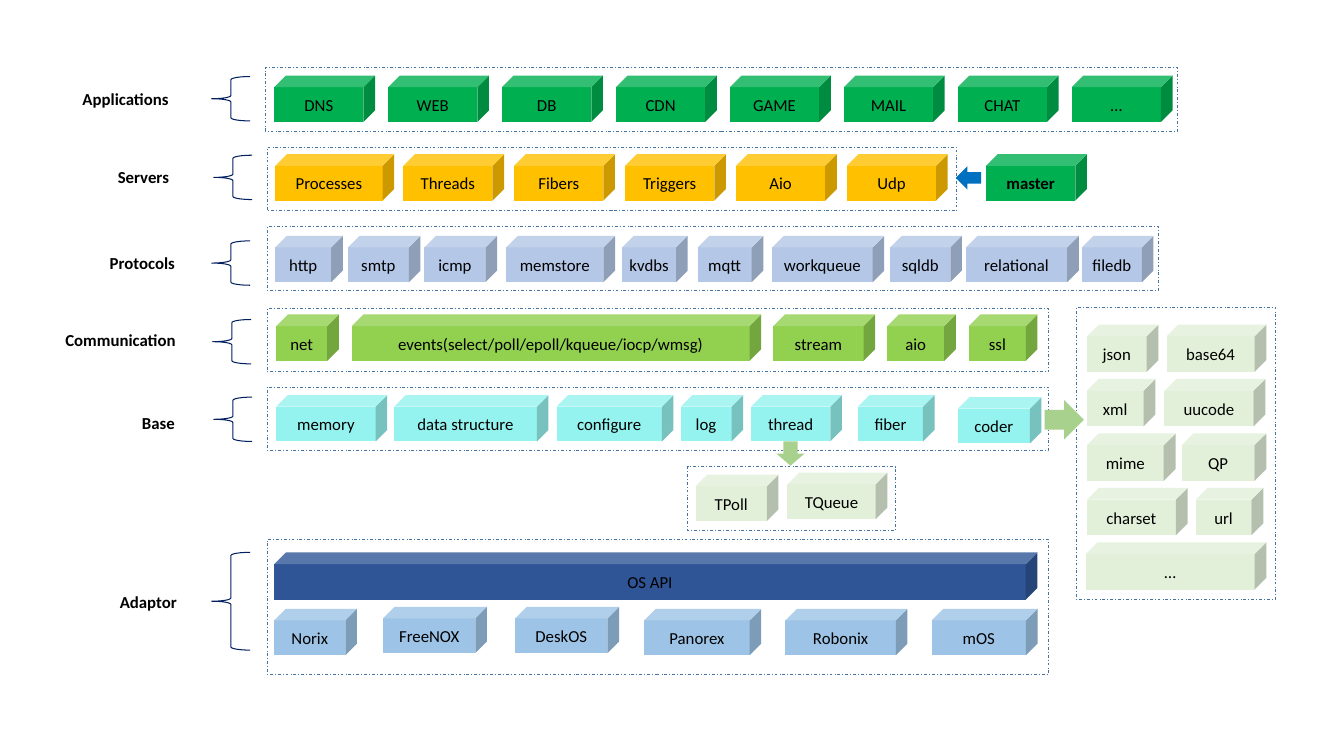
from pptx import Presentation
from pptx.dml.color import RGBColor
from pptx.enum.dml import MSO_LINE
from pptx.enum.shapes import MSO_SHAPE
from pptx.enum.text import MSO_ANCHOR, MSO_AUTO_SIZE, PP_ALIGN
from pptx.util import Inches, Pt

BLACK = RGBColor(0x00, 0x00, 0x00)
NAVY = RGBColor(0x00, 0x20, 0x60)
FRAME_BLUE = RGBColor(0x43, 0x73, 0x9E)
ARROW_BLUE = RGBColor(0x00, 0x70, 0xC0)
ARROW_GREEN = RGBColor(0xA9, 0xD1, 0x8E)
GREEN = RGBColor(0x00, 0xB0, 0x50)
AMBER = RGBColor(0xFF, 0xC0, 0x00)
LAVENDER = RGBColor(0xB4, 0xC7, 0xE7)
LIME = RGBColor(0x92, 0xD0, 0x50)
AQUA = RGBColor(0x95, 0xF3, 0xEF)
PALE_GREEN = RGBColor(0xE2, 0xF0, 0xD9)
DEEP_BLUE = RGBColor(0x2F, 0x55, 0x97)
SKY = RGBColor(0x9D, 0xC3, 0xE6)

# Layer label: text, left, top; then brace: left, top, height
LAYERS = [
    ("Applications", 0.72, 0.83, 2.1, 0.76, 0.44),
    ("Servers", 1.07, 1.61, 2.12, 1.54, 0.44),
    ("Protocols", 0.99, 2.46, 2.1, 2.39, 0.44),
    ("Communication", 0.55, 3.22, 2.11, 3.17, 0.44),
    ("Base", 1.31, 4.05, 2.12, 3.94, 0.44),
    ("Adaptor", 1.09, 5.82, 2.1, 5.48, 0.97),
]

# Left, top, width, height
FRAMES = [
    (2.63, 0.67, 9.05, 0.63),
    (2.65, 1.46, 6.84, 0.63),
    (2.65, 2.25, 8.84, 0.63),
    (2.65, 3.06, 7.75, 0.63),
    (2.65, 3.84, 7.75, 0.63),
    (6.82, 4.63, 2.06, 0.63),
    (2.65, 5.35, 7.75, 1.34),
    (10.68, 3.05, 1.97, 2.9),
]

APPLICATIONS = ["DNS", "WEB", "DB", "CDN", "GAME", "MAIL", "CHAT", "…"]
SERVERS = ["Threads", "Fibers", "Triggers", "Aio", "Udp"]

# Colour, top, height, then cubes: text, left, width
CUBE_ROWS = [
    (GREEN, 0.75, 0.46, [(name, 2.72 + 1.13 * index, 1)
                         for index, name in enumerate(APPLICATIONS)]),
    (AMBER, 1.53, 0.46, [("Processes", 2.73, 1.18)]
     + [(name, 4 + 1.1 * index, 1) for index, name in enumerate(SERVERS)]),
    (LAVENDER, 2.34, 0.46, [
        ("http", 2.73, 0.67), ("smtp", 3.45, 0.72), ("icmp", 4.21, 0.72),
        ("memstore", 5.02, 1.08), ("kvdbs", 6.17, 0.65), ("mqtt", 6.92, 0.65),
        ("workqueue", 7.66, 1.11), ("sqldb", 8.83, 0.71),
        ("relational", 9.58, 1.12), ("filedb", 10.73, 0.71)]),
    (LIME, 3.12, 0.46, [
        ("net", 2.74, 0.62),
        ("events(select/poll/epoll/kqueue/iocp/wmsg)", 3.49, 4.06),
        ("stream", 7.67, 1.01), ("aio", 8.8, 0.68), ("ssl", 9.61, 0.68)]),
    (AQUA, 3.92, 0.46, [
        ("memory", 2.74, 1.1), ("data structure", 3.91, 1.53),
        ("configure", 5.52, 1.16), ("log", 6.75, 0.62),
        ("thread", 7.45, 0.9), ("fiber", 8.51, 0.76)]),
    (AQUA, 3.94, 0.46, [("coder", 9.5, 0.83)]),
    (PALE_GREEN, 4.71, 0.46, [("TPoll", 6.9, 0.82)]),
    (PALE_GREEN, 4.69, 0.46, [("TQueue", 7.81, 0.99)]),
    (DEEP_BLUE, 5.48, 0.47, [("OS API", 2.72, 7.57)]),
    (SKY, 6.04, 0.46, [
        ("Norix", 2.72, 0.82), ("Panorex", 6.39, 1.16),
        ("Robonix", 7.79, 1.21), ("mOS", 9.24, 1.05)]),
    (SKY, 6.02, 0.46, [("FreeNOX", 3.8, 1.03), ("DeskOS", 5.11, 1.03)]),
]

CODERS = [
    [("json", 10.78, 0.71), ("base64", 11.57, 0.99)],
    [("xml", 10.78, 0.68), ("uucode", 11.55, 1)],
    [("mime", 10.78, 0.88), ("QP", 11.72, 0.84)],
    [("charset", 10.78, 1), ("url", 11.86, 0.67)],
    [("…", 10.77, 1.79)],
]
CUBE_ROWS += [(PALE_GREEN, 3.22 + 0.54 * index, 0.47, cubes)
              for index, cubes in enumerate(CODERS)]

ARROWS = [
    (MSO_SHAPE.LEFT_ARROW, 9.48, 1.65, 0.25, 0.23, ARROW_BLUE),
    (MSO_SHAPE.RIGHT_ARROW, 10.36, 3.97, 0.39, 0.39, ARROW_GREEN),
    (MSO_SHAPE.DOWN_ARROW, 7.7, 4.38, 0.28, 0.24, ARROW_GREEN),
]


class Diagram:
    font_name = "Calibri"
    font_size = Pt(12)

    def __init__(self, slide):
        self.slide = slide

    def set_text(self, shape, text, bold=False):
        shape.text_frame.text = text
        font = shape.text_frame.paragraphs[0].runs[0].font
        font.name, font.size, font.bold = self.font_name, self.font_size, bold
        font.color.rgb = BLACK

    def solid(self, kind, left, top, width, height, color):
        shape = self.slide.shapes.add_shape(
            kind, Inches(left), Inches(top), Inches(width), Inches(height))
        shape.shadow.inherit = False
        shape.fill.solid()
        shape.fill.fore_color.rgb = color
        shape.line.fill.background()
        return shape

    def outline(self, kind, left, top, width, height, color, weight):
        shape = self.solid(kind, left, top, width, height, color)
        shape.fill.background()
        shape.line.color.rgb = color
        shape.line.width = Pt(weight)
        return shape

    def frame(self, left, top, width, height):
        shape = self.outline(MSO_SHAPE.RECTANGLE, left, top, width, height,
                             FRAME_BLUE, 0.5)
        shape.line.dash_style = MSO_LINE.DASH_DOT

    def brace(self, left, top, height):
        self.outline(MSO_SHAPE.LEFT_BRACE, left, top, 0.38, height, NAVY, 0.75)

    def cube(self, text, left, top, width, height, color, bold=False):
        shape = self.solid(MSO_SHAPE.CUBE, left, top, width, height, color)
        self.set_text(shape, text, bold)
        frame = shape.text_frame
        frame.margin_left = frame.margin_right = 0
        frame.vertical_anchor = MSO_ANCHOR.MIDDLE
        frame.paragraphs[0].alignment = PP_ALIGN.CENTER

    def label(self, text, left, top):
        box = self.slide.shapes.add_textbox(
            Inches(left), Inches(top), Inches(1.34), Inches(0.3))
        self.set_text(box, text, bold=True)
        box.text_frame.word_wrap = True
        box.text_frame.auto_size = MSO_AUTO_SIZE.SHAPE_TO_FIT_TEXT


def main():
    presentation = Presentation()
    presentation.slide_width = Inches(13.33)
    presentation.slide_height = Inches(7.5)
    diagram = Diagram(presentation.slides.add_slide(presentation.slide_layouts[6]))

    for frame in FRAMES:
        diagram.frame(*frame)
    for text, left, top, brace_left, brace_top, brace_height in LAYERS:
        diagram.label(text, left, top)
        diagram.brace(brace_left, brace_top, brace_height)
    for color, top, height, cubes in CUBE_ROWS:
        for text, left, width in cubes:
            diagram.cube(text, left, top, width, height, color)
    diagram.cube("master", 9.78, 1.53, 1, 0.46, GREEN, bold=True)
    for arrow in ARROWS:
        diagram.solid(*arrow)

    presentation.save("out.pptx")


if __name__ == "__main__":
    main()
